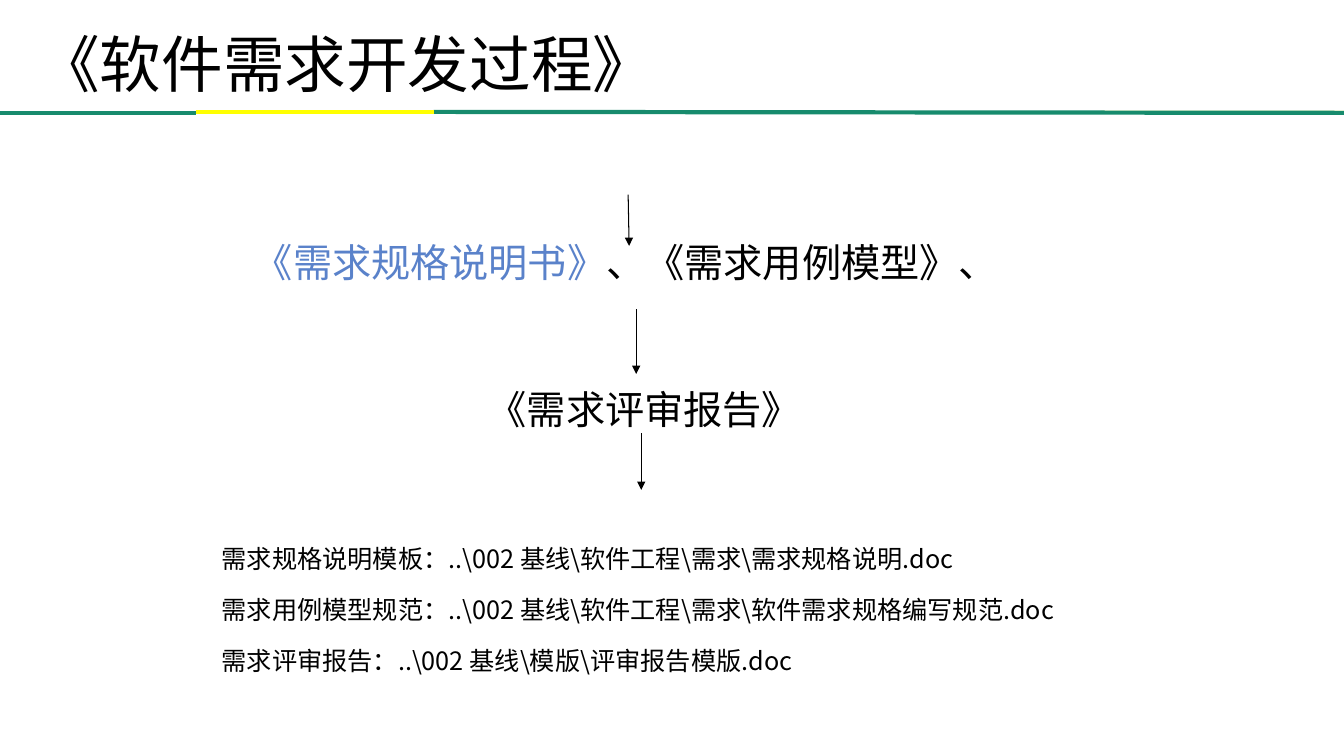
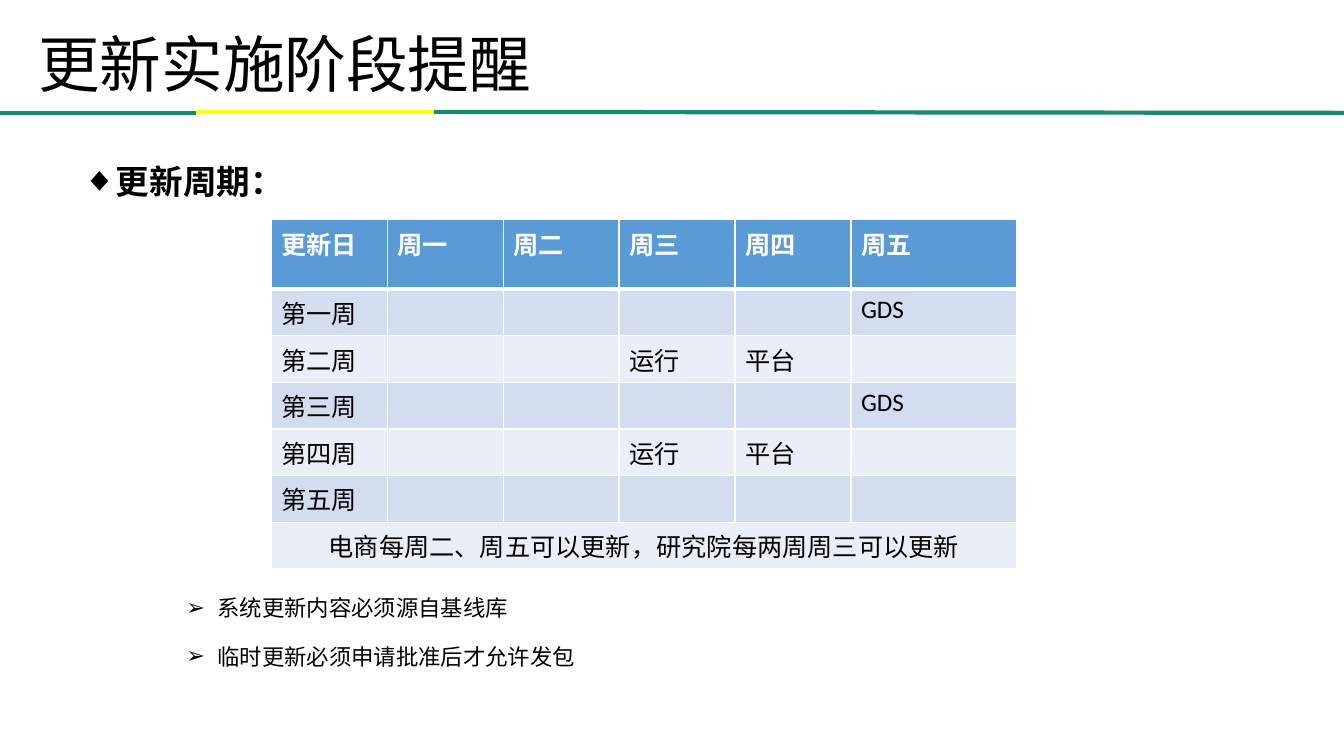
"""Build two slides on the requirements process and the update schedule."""
from dataclasses import dataclass

from lxml import etree
from pptx import Presentation
from pptx.dml.color import RGBColor
from pptx.enum.shapes import MSO_CONNECTOR
from pptx.enum.text import MSO_ANCHOR, MSO_AUTO_SIZE, PP_ALIGN
from pptx.oxml.ns import qn
from pptx.util import Emu, Pt

STRAIGHT = MSO_CONNECTOR.STRAIGHT
TOP = MSO_ANCHOR.TOP
NO_FIT = MSO_AUTO_SIZE.NONE
LEFT, CENTER = PP_ALIGN.LEFT, PP_ALIGN.CENTER

EMU_PER_PX = 9144
BLACK, WHITE, BLUE = "000000", "FFFFFF", "5A82CA"
GREEN, YELLOW, GOLD = "178B6D", "FFFF00", "FFFA00"
HEADER, BAND_DARK, BAND_LIGHT = "5B9BD5", "D2DEEF", "EAEFF7"
ARIAL, CALIBRI, CJK = "Arial", "Calibri", "Noto Sans CJK SC"


@dataclass(frozen=True)
class Line:
    """A straight line with its ends in px and its width in points."""
    x1: int
    y1: int
    x2: int
    y2: int
    color: str = BLACK
    width: float = 0.75
    arrow: bool = False


@dataclass(frozen=True)
class Style:
    """The look of the paragraphs in one text box."""
    size: int
    font: str
    bold: bool = False
    spacing: float = 1.0
    before: int = 0
    after: int = 0
    bullet: str = ""
    inset_top: int = 5


@dataclass(frozen=True)
class Box:
    """A text box in px; each paragraph is a list of (text, colour)."""
    x: int
    y: int
    w: int
    h: int
    style: Style
    paragraphs: list[list[tuple[str, str]]]


RULES = [
    Line(0, 112, 1333, 111, GOLD, 1.5),
    Line(430, 111, 1333, 112, GREEN, 3),
    Line(0, 112, 194, 112, GREEN, 3),
    Line(194, 111, 430, 111, YELLOW, 3),
]
ARROWS = [
    Line(623, 193, 624, 244, arrow=True),
    Line(631, 307, 631, 371, arrow=True),
    Line(636, 430, 636, 486, arrow=True),
]
TITLE = Style(44, ARIAL, spacing=0.95, inset_top=7)
DOCUMENT = Style(28, ARIAL, spacing=0.93, before=12, after=10, inset_top=8)
FILES = Style(18, CJK, spacing=0.95, before=16, inset_top=6)
NOTES = Style(16, CALIBRI, spacing=1.02, before=15, bullet="➢", inset_top=7)
HEADING = Style(24, CALIBRI, bold=True, bullet="◆")
CELL = Style(18, CALIBRI)
CELL_HEADER = Style(18, CALIBRI, bold=True)

PROCESS_BOXES = [
    Box(242, 233, 764, 68, DOCUMENT,
        [[("《需求规格说明书》", BLUE), ("、《需求用例模型》、", BLACK)]]),
    Box(474, 378, 343, 54, DOCUMENT, [[("《需求评审报告》", BLACK)]]),
    Box(210, 535, 925, 152, FILES, [
        [(r"需求规格说明模板：..\002 基线\软件工程\需求\需求规格说明.doc", BLACK)],
        [(r"需求用例模型规范：..\002 基线\软件工程\需求\软件需求规格编写规范.doc", BLACK)],
        [(r"需求评审报告：..\002 基线\模版\评审报告模版.doc", BLACK)],
    ]),
]
UPDATE_BOXES = [
    Box(175, 582, 917, 148, NOTES, [
        [("系统更新内容必须源自基线库", BLACK)],
        [("临时更新必须申请批准后才允许发包", BLACK)],
    ]),
    Box(72, 155, 221, 151, HEADING, [[("更新周期：", BLACK)]]),
]
SCHEDULE = [
    ["更新日", "周一", "周二", "周三", "周四", "周五"],
    ["第一周", "", "", "", "", "GDS"],
    ["第二周", "", "", "运行", "平台", ""],
    ["第三周", "", "", "", "", "GDS"],
    ["第四周", "", "", "运行", "平台", ""],
    ["第五周", "", "", "", "", ""],
    ["电商每周二、周五可以更新，研究院每两周周三可以更新", "", "", "", "", ""],
]
COL_WIDTHS = [115] * 5 + [164]
ROW_HEIGHTS = [69] + [40] * 6


def px(value: int) -> Emu:
    """Turn px into EMU."""
    return Emu(value * EMU_PER_PX)


def rgb(color: str) -> RGBColor:
    """Turn a hex string into a colour."""
    return RGBColor.from_string(color)


def format_run(r, style: Style, color: str) -> None:
    """Set the font of a run for Latin and East Asian text."""
    r.font.size = Pt(style.size)
    r.font.name = style.font
    r.font.bold = style.bold
    r.font.color.rgb = rgb(color)
    r.font._element.find(qn("a:latin")).addnext(
        etree.Element(qn("a:ea"), typeface=CJK))


def add_bullet(p, char: str) -> None:
    """Give a paragraph a black bullet with a hanging indent."""
    pPr = p._p.get_or_add_pPr()
    pPr.set("marL", str(px(31)))
    pPr.set("indent", str(-px(31)))
    color = etree.SubElement(pPr, qn("a:buClr"))
    etree.SubElement(color, qn("a:srgbClr"), val=BLACK)
    etree.SubElement(pPr, qn("a:buFont"), typeface=ARIAL)
    etree.SubElement(pPr, qn("a:buChar"), char=char)


def fill_text(sp, box: Box) -> None:
    """Place a shape and write its paragraphs."""
    style = box.style
    sp.left, sp.top, sp.width, sp.height = map(px, (box.x, box.y, box.w, box.h))
    tf = sp.text_frame
    tf.word_wrap = True
    tf.auto_size = NO_FIT
    tf.vertical_anchor = TOP
    tf.margin_left = tf.margin_right = px(10)
    tf.margin_top, tf.margin_bottom = px(style.inset_top), px(5)
    for i, runs in enumerate(box.paragraphs):
        p = tf.add_paragraph() if i else tf.paragraphs[0]
        p.alignment = LEFT
        p.line_spacing = style.spacing
        p.space_before = Pt(style.before if i or style.after else 0)
        p.space_after = Pt(style.after)
        if style.bullet:
            add_bullet(p, style.bullet)
        for text, color in runs:
            r = p.add_run()
            r.text = text
            format_run(r, style, color)


def add_line(s, line: Line) -> None:
    """Draw a line, with an arrowhead if asked."""
    c = s.shapes.add_connector(
        STRAIGHT, *map(px, (line.x1, line.y1, line.x2, line.y2)))
    c.line.color.rgb = rgb(line.color)
    c.line.width = Pt(line.width)
    if line.arrow:
        etree.SubElement(c.line._get_or_add_ln(), qn("a:tailEnd"), type="triangle")
    etree.SubElement(c._element.spPr, qn("a:effectLst"))


def add_slide(prs, title: str, lines: list[Line], boxes: list[Box]):
    """Add a slide with the shared title and rules, then its own parts."""
    s = prs.slides.add_slide(prs.slide_layouts[5])
    fill_text(s.shapes.title, Box(28, 24, 928, 99, TITLE, [[(title, BLACK)]]))
    for line in RULES + lines:
        add_line(s, line)
    for box in boxes:
        fill_text(s.shapes.add_textbox(0, 0, 0, 0), box)
    return s


def set_borders(cell, bottom: int) -> None:
    """Draw white cell borders, with the bottom width in points."""
    tcPr = cell._tc.get_or_add_tcPr()
    for side, width in (("L", 1), ("R", 1), ("T", 1), ("B", bottom)):
        ln = etree.SubElement(tcPr, qn(f"a:ln{side}"), w=str(Pt(width)))
        fill = etree.SubElement(ln, qn("a:solidFill"))
        etree.SubElement(fill, qn("a:srgbClr"), val=WHITE)


def add_schedule(s) -> None:
    """Add the weekly update table."""
    table = s.shapes.add_table(
        len(SCHEDULE), len(COL_WIDTHS), px(269), px(218),
        px(sum(COL_WIDTHS)), px(sum(ROW_HEIGHTS))).table
    for col, width in zip(table.columns, COL_WIDTHS):
        col.width = px(width)
    for row, height in zip(table.rows, ROW_HEIGHTS):
        row.height = px(height)
    for i, texts in enumerate(SCHEDULE):
        band = BAND_DARK if i % 2 else BAND_LIGHT
        for j, text in enumerate(texts):
            cell = table.cell(i, j)
            set_borders(cell, 1 if i else 3)
            cell.fill.solid()
            cell.fill.fore_color.rgb = rgb(band if i else HEADER)
            p = cell.text_frame.paragraphs[0]
            p.text = text
            for r in p.runs:
                format_run(r, CELL if i else CELL_HEADER, BLACK if i else WHITE)
    last = len(SCHEDULE) - 1
    note = table.cell(last, 0)
    note.merge(table.cell(last, len(COL_WIDTHS) - 1))
    note.text_frame.paragraphs[0].alignment = CENTER


def main() -> None:
    """Build and save the presentation."""
    prs = Presentation()
    prs.slide_width, prs.slide_height = px(1333), px(750)
    add_slide(prs, "《软件需求开发过程》", ARROWS, PROCESS_BOXES)
    add_schedule(add_slide(prs, "更新实施阶段提醒", [], UPDATE_BOXES))
    prs.save("out.pptx")


if __name__ == "__main__":
    main()
